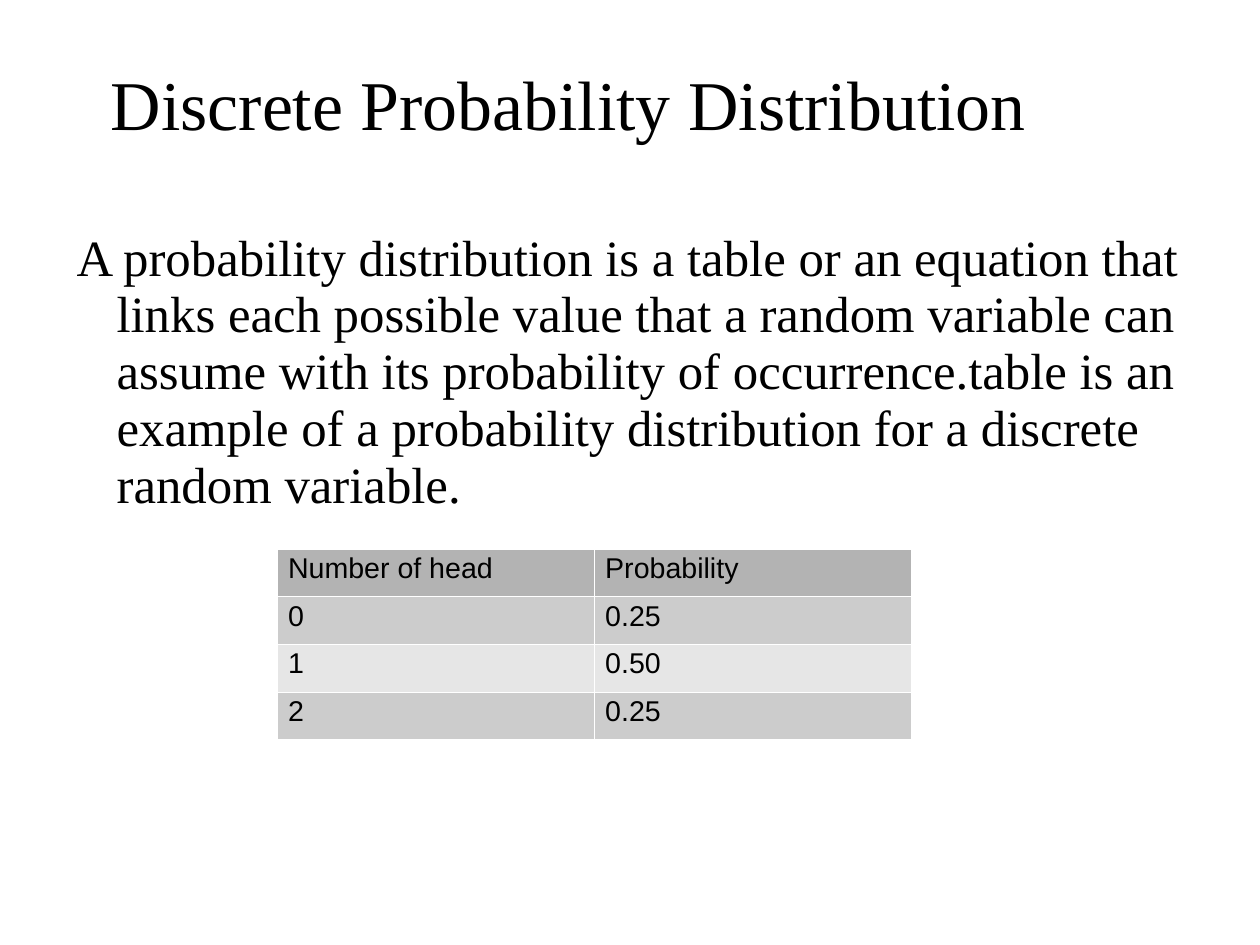
from lxml import etree
from pptx import Presentation
from pptx.dml.color import RGBColor
from pptx.enum.text import MSO_ANCHOR, MSO_AUTO_SIZE, PP_ALIGN
from pptx.oxml import parse_xml
from pptx.oxml.ns import nsdecls, qn
from pptx.util import Cm, Inches, Pt

LEFT, CENTER = PP_ALIGN.LEFT, PP_ALIGN.CENTER
TOP, MIDDLE = MSO_ANCHOR.TOP, MSO_ANCHOR.MIDDLE
NO_FIT = MSO_AUTO_SIZE.NONE

BLACK = RGBColor(0x00, 0x00, 0x00)
WHITE = RGBColor(0xFF, 0xFF, 0xFF)
HEAD = RGBColor(0xB3, 0xB3, 0xB3)
BANDS = RGBColor(0xCC, 0xCC, 0xCC), RGBColor(0xE6, 0xE6, 0xE6)

SERIF, SANS = "Times New Roman", "Arial"
WIDTH, HEIGHT = Cm(28), Cm(21)
MARGIN = 0.55

BODY = (
    "A probability distribution is a table or an equation that links each "
    "possible value that a random variable can assume with its probability "
    "of occurrence.table is an example of a probability distribution for a "
    "discrete random variable."
)
ROWS = [
    ("Number of head", "Probability"),
    ("0", "0.25"),
    ("1", "0.50"),
    ("2", "0.25"),
]


def write(frame, text, size, font=SERIF, align=LEFT, line=0.93, after=0):
    frame.word_wrap = True
    para = frame.paragraphs[0]
    para.alignment = align
    para.line_spacing = line
    para.space_before = Pt(0)
    para.space_after = Pt(after)
    run = para.add_run()
    run.text = text
    run.font.size = Pt(size)
    run.font.name = font
    run.font.color.rgb = BLACK
    return para


def place(holder, box, inset, anchor):
    """Move a placeholder to the box and set its inner margins."""
    holder.left, holder.top, holder.width, holder.height = map(Inches, box)
    frame = holder.text_frame
    frame.auto_size = NO_FIT
    frame.vertical_anchor = anchor
    frame.margin_left = frame.margin_right = frame.margin_bottom = 0
    frame.margin_top = Inches(inset)
    return frame


def add_title(slide, box):
    frame = place(slide.shapes.title, box, 0.04, MIDDLE)
    write(frame, "Discrete Probability Distribution", 44, align=CENTER)


def add_body(slide, box):
    frame = place(slide.placeholders[1], box, 0.03, TOP)
    props = write(frame, BODY, 32, after=14.1)._p.get_or_add_pPr()
    props.set("marL", str(Inches(0.47)))
    props.set("indent", str(Inches(-0.35)))
    etree.SubElement(props, qn("a:buNone"))


def add_edges(cell, color, width):
    props = cell._tc.get_or_add_tcPr()
    for spot, side in enumerate(("lnL", "lnR", "lnT", "lnB")):
        props.insert(spot, parse_xml(
            f'<a:{side} {nsdecls("a")} w="{Pt(width)}"><a:solidFill>'
            f'<a:srgbClr val="{color}"/></a:solidFill></a:{side}>'))


def add_grid(slide, box, rows):
    left, top, width, height = map(Inches, box)
    table = slide.shapes.add_table(
        len(rows), len(rows[0]), left, top, width, height).table
    for r, row in enumerate(rows):
        for c, text in enumerate(row):
            cell = table.cell(r, c)
            cell.fill.solid()
            cell.fill.fore_color.rgb = BANDS[(r - 1) % 2] if r else HEAD
            add_edges(cell, WHITE, 0.06)
            write(cell.text_frame, text, 18, font=SANS, line=0.94)


def main():
    deck = Presentation()
    deck.slide_width, deck.slide_height = WIDTH, HEIGHT
    slide = deck.slides.add_slide(deck.slide_layouts[1])
    add_title(slide, (MARGIN, 0.31, 8.86, 1.21))
    add_body(slide, (MARGIN, 1.99, WIDTH.inches - 2 * MARGIN, 4.79))
    add_grid(slide, (2.42, 4.8, 5.55, 1.67), ROWS)
    deck.save("out.pptx")


if __name__ == "__main__":
    main()
